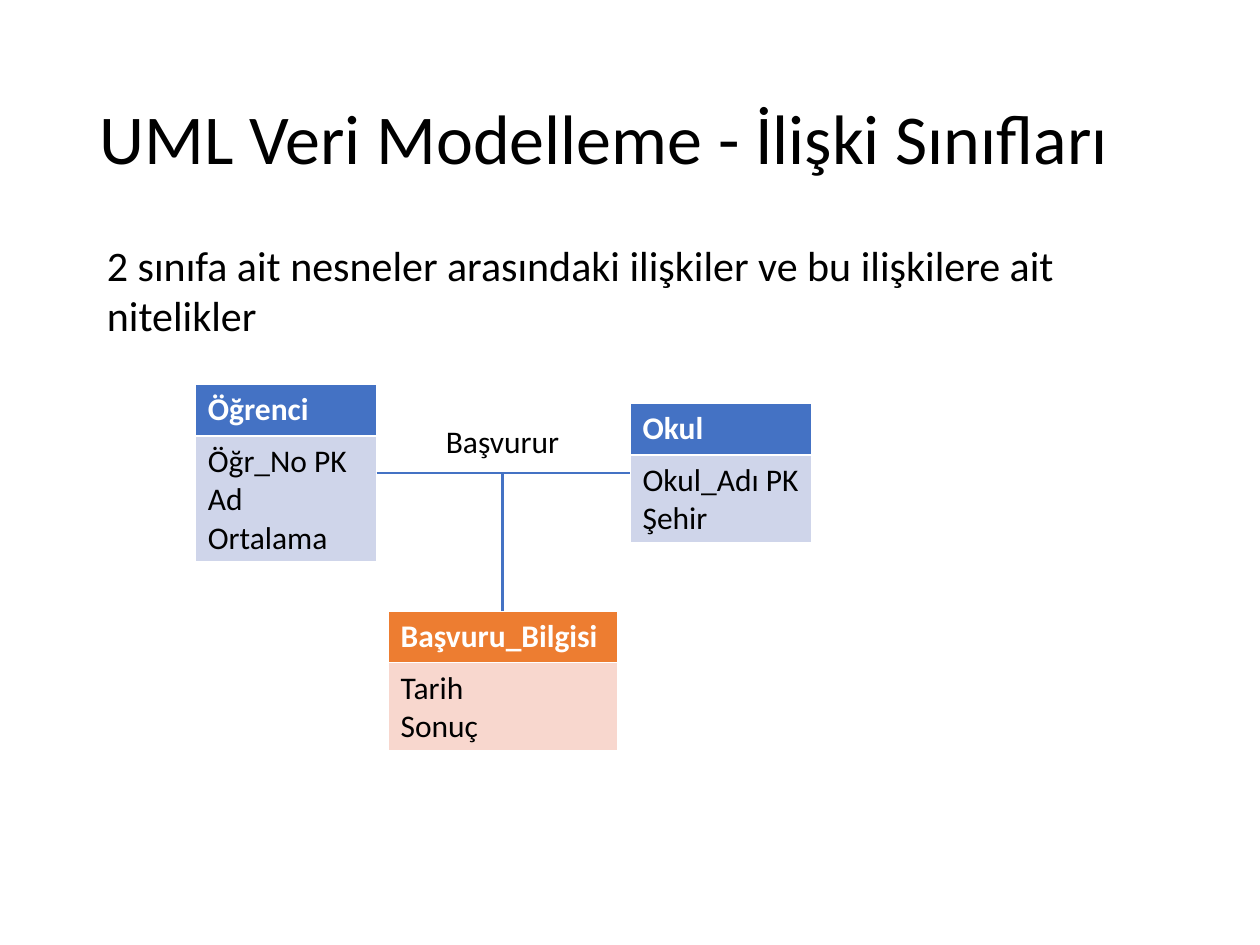
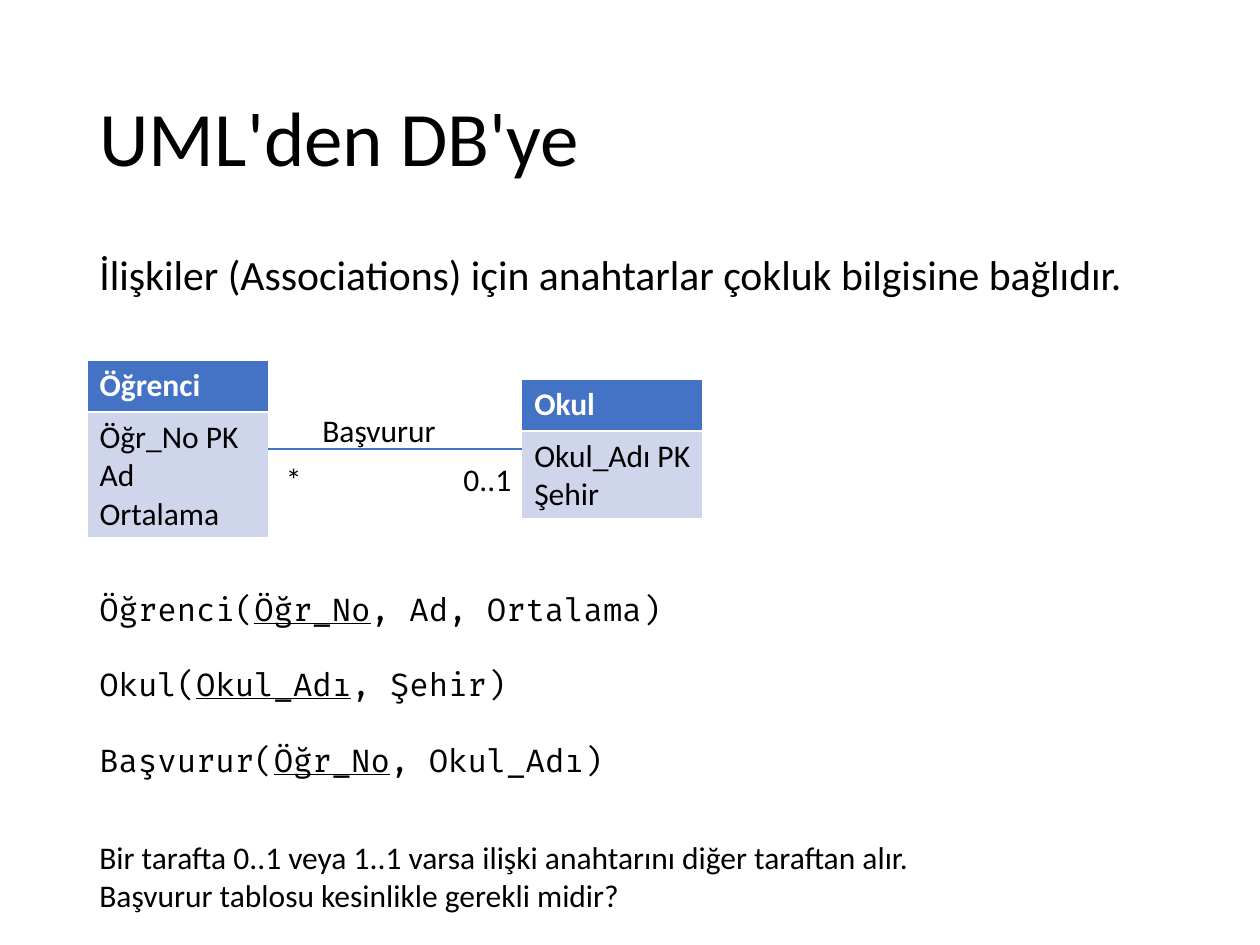
import dataclasses

import lxml.etree
import pptx
import pptx.dml.color
import pptx.enum.shapes
import pptx.enum.text
import pptx.oxml.ns
import pptx.util

PX = 9144  # EMU per px, 100 px to the inch


@dataclasses.dataclass(frozen=True)
class Theme:
    ink: str = "000000"
    paper: str = "FFFFFF"
    line: str = "4472C4"
    entity: tuple = ("4472C4", "CFD5EA")
    relation: tuple = ("ED7D31", "F8D7CE")
    font: str = "Calibri"
    code_font: str = "Fira Code"
    title: float = 44
    long_title: float = 40
    lead: float = 24
    tight_lead: float = 23.8
    text: float = 18
    line_width: float = 1.5


def rgb(colour):
    return pptx.dml.color.RGBColor.from_string(colour)


class Deck:
    def __init__(self, theme):
        self.theme = theme
        self.prs = pptx.Presentation()
        self.prs.slide_width = 1000 * PX
        self.prs.slide_height = 750 * PX
        self.slide = None

    def style(self, paragraph, size, colour=None, font=None, bold=False):
        paragraph.font.name = font or self.theme.font
        paragraph.font.size = pptx.util.Pt(size)
        paragraph.font.bold = bold
        paragraph.font.color.rgb = rgb(colour or self.theme.ink)

    def new_slide(self, heading, size):
        """Start a title-only slide."""
        self.slide = self.prs.slides.add_slide(self.prs.slide_layouts[5])
        title = self.slide.shapes.title
        title.left, title.top, title.width, title.height = (
            v * PX for v in (69, 40, 862, 145))
        frame = title.text_frame
        frame.text = heading
        frame.auto_size = pptx.enum.text.MSO_AUTO_SIZE.NONE
        frame.vertical_anchor = pptx.enum.text.MSO_ANCHOR.MIDDLE
        paragraph = frame.paragraphs[0]
        paragraph.alignment = pptx.enum.text.PP_ALIGN.LEFT
        paragraph.line_spacing = 0.9
        self.style(paragraph, size)

    def text(self, left, top, width, height, lines, size=None, font=None,
             wrap=False, spacing=None, gap=0):
        """Add lines; in a line given as parts, every second part is underlined."""
        box = self.slide.shapes.add_textbox(
            left * PX, top * PX, width * PX, height * PX)
        frame = box.text_frame
        frame.word_wrap = wrap
        for i, parts in enumerate(lines):
            paragraph = frame.add_paragraph() if i else frame.paragraphs[0]
            self.style(paragraph, size or self.theme.text, font=font)
            if spacing:
                paragraph.line_spacing = spacing
            if i and gap:
                paragraph.space_before = pptx.util.Pt(gap)
            for j, part in enumerate([parts] if isinstance(parts, str) else parts):
                run = paragraph.add_run()
                run.text = part
                if j % 2:
                    run.font.underline = True

    def uml_class(self, left, top, width, name, attributes, fills):
        """Add a class box: a name row over an attribute row."""
        heights = (41, 10 + 30 * len(attributes))
        frame = self.slide.shapes.add_table(
            2, 1, left * PX, top * PX, width * PX, sum(heights) * PX)
        rows = zip(frame.table.rows, heights, (name, "\n".join(attributes)),
                   fills, (self.theme.paper, self.theme.ink), (True, False))
        for row, height, content, fill, colour, bold in rows:
            row.height = height * PX
            cell = row.cells[0]
            cell.text = content
            cell.fill.solid()
            cell.fill.fore_color.rgb = rgb(fill)
            for paragraph in cell.text_frame.paragraphs:
                self.style(paragraph, self.theme.text, colour, bold=bold)
        return frame

    def link(self, start, start_side, end=None, end_side=None, meet=None):
        """Join two class boxes, or drop vertically onto the line to meet."""
        line = self.slide.shapes.add_connector(
            pptx.enum.shapes.MSO_CONNECTOR.STRAIGHT, 0, 0, 0, 0)
        line.begin_connect(start, start_side)
        if end is not None:
            line.end_connect(end, end_side)
        else:
            line.end_x, line.end_y = line.begin_x, meet.begin_y
        line.line.color.rgb = rgb(self.theme.line)
        line.line.width = pptx.util.Pt(self.theme.line_width)
        lxml.etree.SubElement(line._element.spPr,
                              pptx.oxml.ns.qn("a:effectLst"))
        return line

    def application(self, left, top):
        """Add the student and school classes and the line between them."""
        student = self.uml_class(left, top, 144, "Öğrenci",
                                 ["Öğr_No PK", "Ad", "Ortalama"],
                                 self.theme.entity)
        school = self.uml_class(left + 345, top + 15, 144, "Okul",
                                ["Okul_Adı PK", "Şehir"], self.theme.entity)
        return self.link(student, 3, school, 1)


def association_classes(deck):
    theme = deck.theme
    deck.new_slide("UML Veri Modelleme - İlişki Sınıfları", theme.long_title)
    deck.text(75, 185, 862, 91,
              ["2 sınıfa ait nesneler arasındaki ilişkiler ve bu ilişkilere "
               "ait nitelikler"], theme.lead, wrap=True)
    # Class diagram with its association class
    applies = deck.application(155, 305)
    deck.text(344, 330, 111, 40, ["Başvurur"])
    details = deck.uml_class(308, 485, 182, "Başvuru_Bilgisi",
                             ["Tarih", "Sonuç"], theme.relation)
    deck.link(details, 0, meet=applies)


def uml_to_database(deck):
    theme = deck.theme
    deck.new_slide("UML'den DB'ye", theme.title)
    deck.text(69, 200, 862, 50,
              ["İlişkiler (Associations) için anahtarlar çokluk bilgisine "
               "bağlıdır."], theme.tight_lead, wrap=True, spacing=0.8)
    # Class diagram with multiplicities
    deck.application(69, 286)
    deck.text(246, 321, 111, 40, ["Başvurur"])
    deck.text(217, 360, 32, 40, ["*"])
    deck.text(358, 360, 60, 40, ["0..1"])
    # Relations with their keys underlined
    deck.text(69, 463, 473, 162,
              [("Öğrenci(", "Öğr_No", ", Ad, Ortalama)"),
               ("Okul(", "Okul_Adı", ", Şehir)"),
               ("Başvurur(", "Öğr_No", ", Okul_Adı)")],
              font=theme.code_font, gap=21.6)
    # Rule and question
    deck.text(69, 660, 670, 71,
              ["Bir tarafta 0..1 veya 1..1 varsa ilişki anahtarını diğer "
               "taraftan alır.",
               "Başvurur tablosu kesinlikle gerekli midir?"])


def main():
    deck = Deck(Theme())
    association_classes(deck)
    uml_to_database(deck)
    deck.prs.save("out.pptx")


if __name__ == "__main__":
    main()
